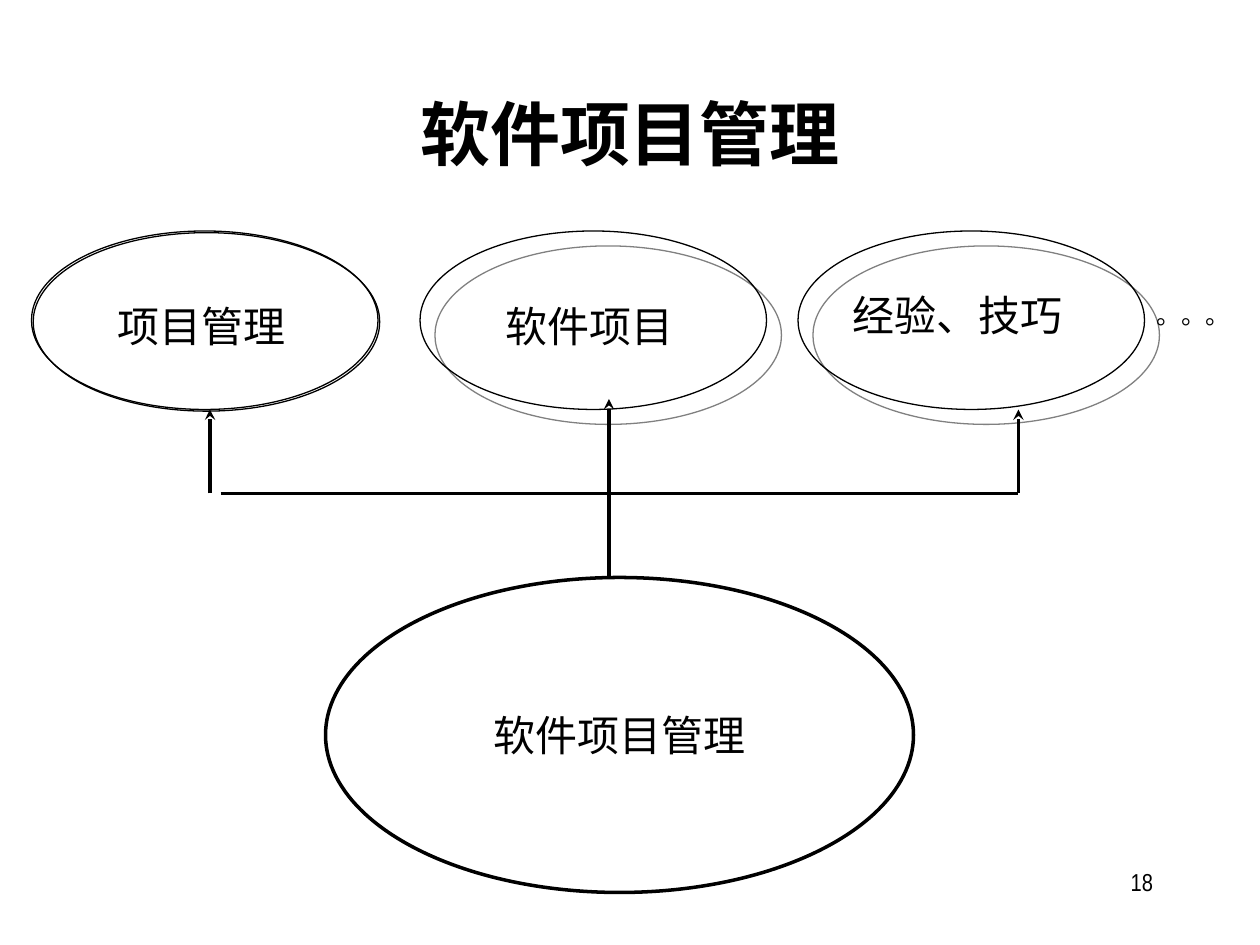
from dataclasses import dataclass

from lxml import etree
from pptx import Presentation
from pptx import util as u
from pptx.dml import color
from pptx.enum import shapes, text
from pptx.oxml import ns

Pt = u.Pt


@dataclass(frozen=True)
class Theme:
    ink: str = "000000"
    soft_shadow: str = "808080"
    latin: str = "Arial Narrow"
    chinese: str = "Noto Sans CJK SC"
    title: int = 40
    label: int = 24
    small: int = 14
    thin: float = 0.75
    thick: float = 2


THEME = Theme()


def rgb(value):
    return color.RGBColor.from_string(value)


def add_child(parent, tag, **attributes):
    return etree.SubElement(parent, ns.qn(tag), attributes)


def write(frame, words, size, align, font=THEME.latin, bold=False):
    paragraph = frame.paragraphs[0]
    paragraph.alignment = align
    run = paragraph.add_run()
    run.text = words
    run.font.name = font
    run.font.size = Pt(size)
    run.font.bold = bold
    run.font.color.rgb = rgb(THEME.ink)
    add_child(run.font._element, "a:ea", typeface=THEME.chinese)


def add_text(slide, box, words, size, align=text.PP_ALIGN.LEFT, **style):
    frame = slide.shapes.add_textbox(*map(Pt, box)).text_frame
    frame.word_wrap = True
    frame.vertical_anchor = text.MSO_ANCHOR.TOP
    write(frame, words, size, align, **style)


def add_ellipse(slide, box, weight):
    ellipse = slide.shapes.add_shape(shapes.MSO_SHAPE.OVAL, *map(Pt, box))
    ellipse.fill.background()
    ellipse.line.color.rgb = rgb(THEME.ink)
    ellipse.line.width = Pt(weight)
    ellipse.shadow.inherit = False
    return ellipse


def cast_shadow(ellipse, shade, distance):
    effects = ellipse._element.spPr.find(ns.qn("a:effectLst"))
    shadow = add_child(effects, "a:outerShdw", dist=str(int(Pt(distance))),
                       dir="2700000", algn="ctr", rotWithShape="0")
    add_child(shadow, "a:srgbClr", val=shade)


def add_line(slide, start, end, arrow=False):
    line = slide.shapes.add_connector(
        shapes.MSO_CONNECTOR.STRAIGHT, *map(Pt, (*start, *end)))
    line.line.color.rgb = rgb(THEME.ink)
    line.line.width = Pt(THEME.thick)
    if arrow:
        add_child(line.line._get_or_add_ln(), "a:tailEnd", type="stealth")
    add_child(line._element.spPr, "a:effectLst")


def main():
    deck = Presentation()
    deck.slide_width, deck.slide_height = Pt(720), Pt(540)
    slide = deck.slides.add_slide(deck.slide_layouts[6])

    add_text(slide, (516, 492, 150, 36), "18", THEME.small, text.PP_ALIGN.RIGHT)
    add_text(slide, (54, 48, 612, 90), "软件项目管理", THEME.title,
             text.PP_ALIGN.CENTER, font=THEME.chinese, bold=True)

    whole = add_ellipse(slide, (186, 330, 336, 180), THEME.thick)
    whole.text_frame.word_wrap = False
    whole.text_frame.vertical_anchor = text.MSO_ANCHOR.MIDDLE
    write(whole.text_frame, "软件项目管理", THEME.label, text.PP_ALIGN.CENTER)

    parts = [
        ("项目管理", 18, (60, 168, 126, 36), THEME.ink, 1.4),
        ("软件项目", 240, (282, 168, 126, 36), THEME.soft_shadow, 12.1),
        ("经验、技巧", 456, (480, 162, 150, 36), THEME.soft_shadow, 12.1),
    ]
    for words, left, label_box, shade, distance in parts:
        part = add_ellipse(slide, (left, 132, 198, 102), THEME.thin)
        cast_shadow(part, shade, distance)
        add_text(slide, label_box, words, THEME.label)
    add_text(slide, (654, 168, 66, 24), "。。。", THEME.small)

    branch = 282
    add_line(slide, (126, branch), (582, branch))
    for x, bottom, top in ((348, 330, 228), (120, branch, 234), (582, branch, 234)):
        add_line(slide, (x, bottom), (x, top), arrow=True)

    deck.save("out.pptx")


if __name__ == "__main__":
    main()
